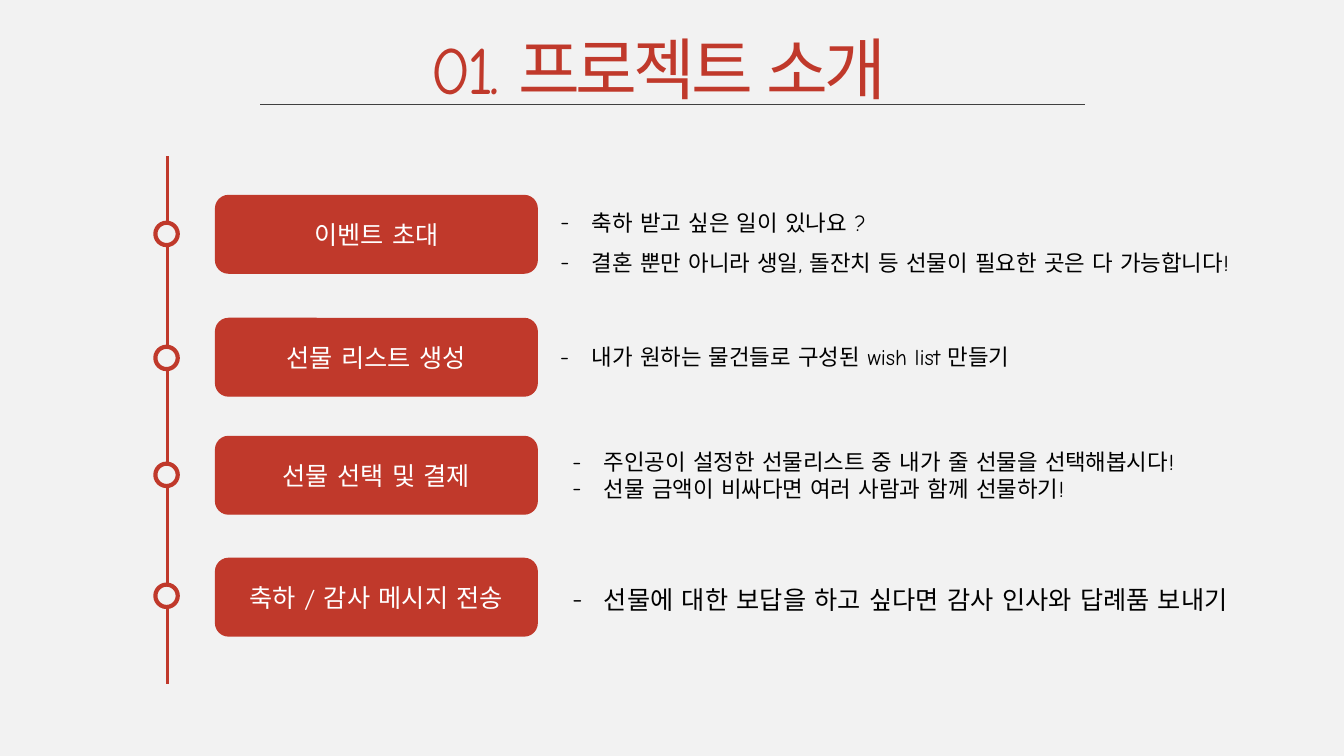
from lxml import etree
from pptx import Presentation
from pptx.dml.color import RGBColor
from pptx.enum import shapes as sh, text as tx
from pptx.oxml import ns
from pptx.util import Pt

RED = RGBColor(0xC0, 0x39, 0x2B)
PALE = RGBColor(0xF2, 0xF2, 0xF2)
GREY = RGBColor(0x40, 0x40, 0x40)
WHITE = RGBColor(0xFF, 0xFF, 0xFF)
BLACK = RGBColor(0, 0, 0)
FONT = "Comic Neue"


def style(paragraph, size, color):
    for run in paragraph.runs:
        run.font.size = Pt(size)
        run.font.name = FONT
        run.font.color.rgb = color
        east_asian = etree.SubElement(run.font._element, ns.qn("a:ea"))
        east_asian.set("typeface", FONT)


def rule(x1, y1, x2, y2, color, width):
    line = slide.shapes.add_connector(
        sh.MSO_CONNECTOR.STRAIGHT, Pt(x1), Pt(y1), Pt(x2), Pt(y2))
    line.line.color.rgb = color
    line.line.width = Pt(width)
    etree.SubElement(line._element.spPr, ns.qn("a:effectLst"))


prs = Presentation()
prs.slide_width, prs.slide_height = Pt(960), Pt(540)
slide = prs.slides.add_slide(prs.slide_layouts[5])
slide.background.fill.solid()
slide.background.fill.fore_color.rgb = PALE

title = slide.shapes.title
title.left, title.top, title.width, title.height = Pt(270), Pt(15.84), Pt(401), Pt(65.5)
title.text_frame.text = "01. 프로젝트 소개"
title.text_frame.vertical_anchor = tx.MSO_ANCHOR.TOP
title.text_frame.auto_size = tx.MSO_AUTO_SIZE.NONE
heading = title.text_frame.paragraphs[0]
heading.alignment = tx.PP_ALIGN.CENTER
style(heading, 48, RED)
heading.runs[0].font._element.set("spc", "-300")

rule(185.8, 74.9, 774.7, 74.9, GREY, 0.5)
rule(119.5, 111.6, 119.5, 488.9, RED, 2)

steps = [
    ("이벤트 초대", 139.7, 159.1, (393.1, 136.1, 543.6, 61.9), 16, 1.5,
     ["축하 받고 싶은 일이 있나요 ?",
      "결혼 뿐만 아니라 생일, 돌잔치 등 선물이 필요한 곳은 다 가능합니다!"]),
    ("선물 리스트 생성", 227.5, 247.7, (393.1, 241.9, 480.2, 26.6), 16, 1,
     ["내가 원하는 물건들로 구성된 wish list 만들기"]),
    ("선물 선택 및 결제", 311.8, 331.2, (401.8, 316.8, 518.4, 46.1), 16, 1,
     ["주인공이 설정한 선물리스트 중 내가 줄 선물을 선택해봅시다!",
      "선물 금액이 비싸다면 여러 사람과 함께 선물하기!"]),
    ("축하 / 감사 메시지 전송", 398.9, 417.6, (401.8, 414, 535, 28.8), 18, 1,
     ["선물에 대한 보답을 하고 싶다면 감사 인사와 답례품 보내기"]),
]

for name, card_top, dot_top, note_box, note_size, spacing, notes in steps:
    dot = slide.shapes.add_shape(
        sh.MSO_SHAPE.OVAL, Pt(111), Pt(dot_top), Pt(16), Pt(16))
    card = slide.shapes.add_shape(
        sh.MSO_SHAPE.ROUNDED_RECTANGLE, Pt(154), Pt(card_top), Pt(229.7), Pt(55.4))
    for part, fill, width in ((dot, PALE, 3), (card, RED, 1)):
        part.shadow.inherit = False
        part.fill.solid()
        part.fill.fore_color.rgb = fill
        part.line.color.rgb = RED
        part.line.width = Pt(width)
    card.text_frame.text = name
    card.text_frame.vertical_anchor = tx.MSO_ANCHOR.MIDDLE
    label = card.text_frame.paragraphs[0]
    label.alignment = tx.PP_ALIGN.CENTER
    style(label, 18, WHITE)

    details = slide.shapes.add_textbox(*map(Pt, note_box)).text_frame
    details.word_wrap = True
    details.text = "\n".join(notes)
    for note in details.paragraphs:
        note.line_spacing = float(spacing)
        properties = note._p.get_or_add_pPr()
        properties.set("marL", str(Pt(22.5)))
        properties.set("indent", str(-Pt(22.5)))
        etree.SubElement(properties, ns.qn("a:buFont")).set("typeface", FONT)
        etree.SubElement(properties, ns.qn("a:buChar")).set("char", "-")
        style(note, note_size, BLACK)

prs.save("out.pptx")
